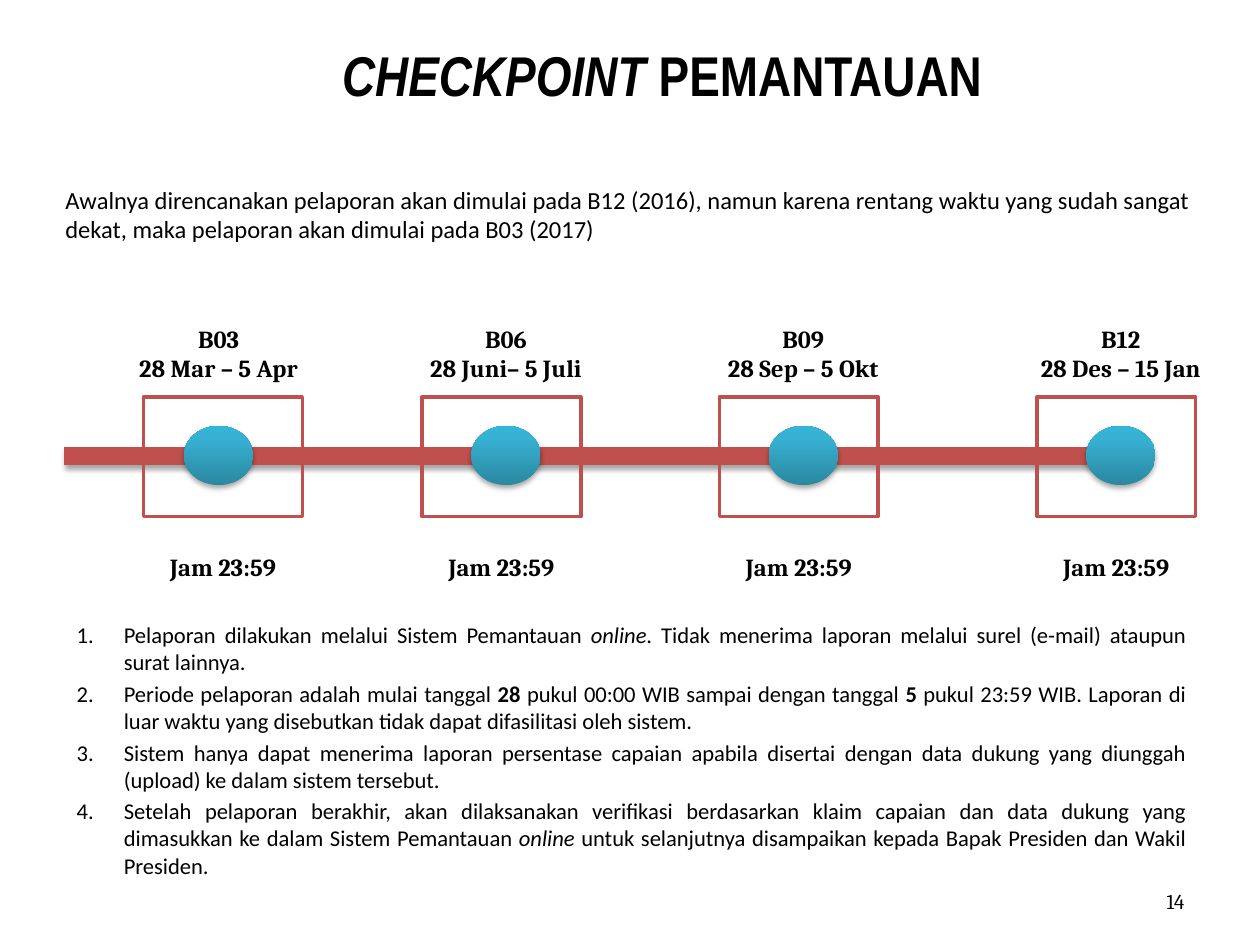
import copy

import lxml.etree
import pptx
import pptx.dml.color
import pptx.enum.shapes
import pptx.enum.text
import pptx.oxml
import pptx.util

Pt = pptx.util.Pt
hex_color = pptx.dml.color.RGBColor.from_string
ALIGN = pptx.enum.text.PP_ALIGN
ANCHOR = pptx.enum.text.MSO_ANCHOR
SHAPES = pptx.enum.shapes.MSO_SHAPE
DRAWING = "http://schemas.openxmlformats.org/drawingml/2006/main"
RED, BLACK = "C0504D", "000000"
ITALIC, BOLD = {"italic": True}, {"bold": True}
SOFT_SHADOW = (
    f'<a:effectLst xmlns:a="{DRAWING}">'
    '<a:outerShdw blurRad="40000" dist="23000" dir="5400000" rotWithShape="0">'
    '<a:srgbClr val="000000"><a:alpha val="35000"/></a:srgbClr>'
    "</a:outerShdw></a:effectLst>"
)

deck = pptx.Presentation()
deck.slide_width = pptx.util.Inches(10)
deck.slide_height = pptx.util.Inches(7.5)
slide = deck.slides.add_slide(deck.slide_layouts[6])


def area(*percents):
    """Turn x, y, width, height in percent of the slide into lengths."""
    sides = (deck.slide_width, deck.slide_height) * 2
    return [round(side * percent / 100) for side, percent in zip(sides, percents)]


def write(place, paragraphs, align, anchor=ANCHOR.TOP, **base_font):
    """Add a text box; each paragraph is a list of (text, font changes)."""
    frame = slide.shapes.add_textbox(*area(*place)).text_frame
    frame.word_wrap = True
    frame.vertical_anchor = anchor
    for index, runs in enumerate(paragraphs):
        paragraph = frame.paragraphs[0] if index == 0 else frame.add_paragraph()
        paragraph.alignment = align
        for text, changes in runs:
            run = paragraph.add_run()
            run.text = text
            run.font.color.rgb = hex_color(BLACK)
            for key, value in {**base_font, **changes}.items():
                setattr(run.font, key, value)
    return frame


write((10.5, 1.07, 84.1, 13.6),
      [[("CHECKPOINT", ITALIC), (" PEMANTAUAN", {})]],
      ALIGN.CENTER, ANCHOR.MIDDLE, name="Arial Narrow", size=Pt(32), bold=True)
write((71.7, 92.67, 23.3, 5.33), [[("14", {})]],
      ALIGN.RIGHT, ANCHOR.MIDDLE, name="Cambria", size=Pt(12))
write((4.2, 18.93, 94.2, 7.6),
      [[("Awalnya direncanakan pelaporan akan dimulai pada B12 (2016), namun karena "
         "rentang waktu yang sudah sangat dekat, maka pelaporan akan dimulai pada "
         "B03 (2017)", {})]],
      ALIGN.LEFT, name="Calibri", size=Pt(14))

# Timeline: period, dates, left edge of the window, centre of the dot
checkpoints = [
    ("B03", "28 Mar – 5 Apr", 11.4, 17.35),
    ("B06", "28 Juni– 5 Juli", 33.5, 40.15),
    ("B09", "28 Sep – 5 Okt", 57.1, 63.75),
    ("B12", "28 Des – 15 Jan", 82.3, 88.95),
]
window_width, dot_width, label_width = 12.6, 5.5, 16.5

timeline = slide.shapes.add_connector(
    pptx.enum.shapes.MSO_CONNECTOR.STRAIGHT, *area(5.1, 48.27, 89.4, 48.27))
timeline.line.color.rgb = hex_color(RED)
timeline.line.width = Pt(10)
timeline._element.spPr.append(pptx.oxml.parse_xml(SOFT_SHADOW))

for period, dates, window_left, dot_centre in checkpoints:
    window = slide.shapes.add_shape(
        SHAPES.RECTANGLE, *area(window_left, 42, window_width, 12.67))
    window.shadow.inherit = False
    window.fill.background()
    window.line.color.rgb = hex_color(RED)
    window.line.width = Pt(2)

    dot = slide.shapes.add_shape(
        SHAPES.OVAL, *area(dot_centre - dot_width / 2, 45.07, dot_width, 6.27))
    dot.line.fill.background()
    dot.fill.gradient()
    dot.fill.gradient_angle = 90
    stop_list = dot.fill._fill._gradFill.gsLst
    stop_list.append(copy.deepcopy(stop_list[-1]))
    shades = [(0, "2A88A2"), (0.8, "37B1D2"), (1, "34B4D6")]
    for stop, (position, shade) in zip(dot.fill.gradient_stops, shades):
        stop.position = position
        stop.color.rgb = hex_color(shade)
    dot._element.spPr.append(pptx.oxml.parse_xml(SOFT_SHADOW))

    label_font = {"name": "Cambria", "size": Pt(14), "bold": True}
    write((dot_centre - label_width / 2, 33.6, label_width, 7.6),
          [[(period, {})], [(dates, {})]], ALIGN.CENTER, **label_font)
    write((window_left, 57.73, window_width, 4.53),
          [[("Jam 23:59", {})]], ALIGN.CENTER, **label_font)

rules = [
    [("Pelaporan dilakukan melalui Sistem Pemantauan ", {}), ("online", ITALIC),
     (". Tidak menerima laporan melalui surel (e-mail) ataupun surat lainnya.", {})],
    [("Periode pelaporan adalah mulai tanggal ", {}), ("28 ", BOLD),
     ("pukul 00:00 WIB sampai dengan tanggal ", {}), ("5 ", BOLD),
     ("pukul 23:59 WIB. Laporan di luar waktu yang disebutkan tidak dapat "
      "difasilitasi oleh sistem.", {})],
    [("Sistem hanya dapat menerima laporan persentase capaian apabila disertai "
      "dengan data dukung yang diunggah (upload) ke dalam sistem tersebut.", {})],
    [("Setelah pelaporan berakhir, akan dilaksanakan verifikasi berdasarkan klaim "
      "capaian dan data dukung yang dimasukkan ke dalam Sistem Pemantauan ", {}),
     ("online ", ITALIC),
     ("untuk selanjutnya disampaikan kepada Bapak Presiden dan Wakil Presiden.", {})],
]
rule_frame = write((5.1, 65.07, 90, 26), rules, ALIGN.JUSTIFY,
                   name="Calibri", size=Pt(12.9))
indent = area(3.75)[0]
for index, rule in enumerate(rule_frame.paragraphs):
    rule.space_before = Pt(2.6 if index else 0)
    properties = rule._p.get_or_add_pPr()
    properties.set("marL", str(indent))
    properties.set("indent", str(-indent))
    numbering = lxml.etree.SubElement(properties, f"{{{DRAWING}}}buAutoNum")
    numbering.set("type", "arabicPeriod")

deck.save("out.pptx")
